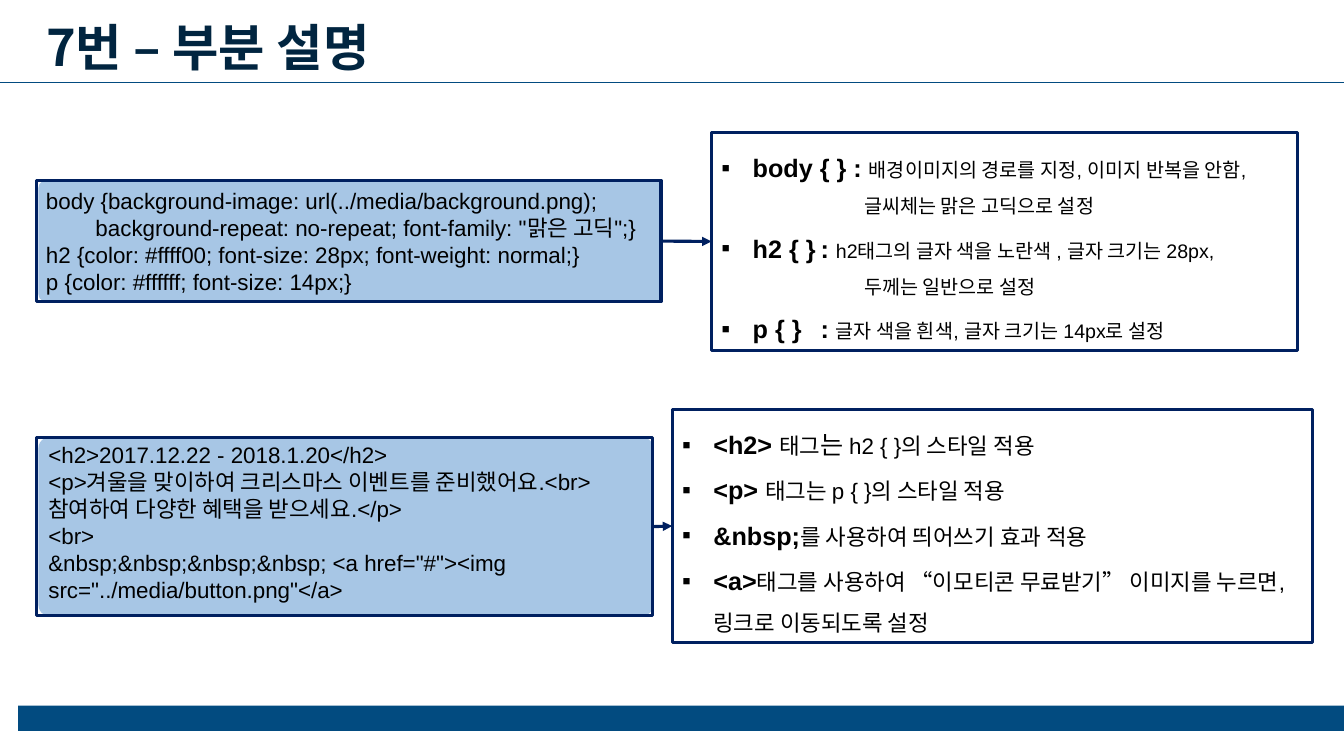
from dataclasses import dataclass

import lxml.etree
import pptx
import pptx.dml.color
import pptx.enum.shapes
import pptx.enum.text
import pptx.oxml.ns
import pptx.util
from pptx.util import Cm, Pt

COLORS = {
    "bar": "024B80",
    "title": "012540",
    "code": "A7C6E5",
    "border": "002060",
    "text": "000000",
}
LATIN = "Arial"
KOREAN = "Noto Sans CJK KR"
BULLET_INDENT = 0.79
COLON_TAB = 2.5
CONTINUATION_INDENT = 3.6
SHAPES = pptx.enum.shapes.MSO_SHAPE


@dataclass(frozen=True)
class Box:
    left: float
    top: float
    width: float
    height: float

    def lengths(self) -> list[int]:
        return [Cm(v) for v in (self.left, self.top, self.width, self.height)]


@dataclass(frozen=True)
class Piece:
    text: str
    size: int
    bold: bool = False


@dataclass(frozen=True)
class Remark:
    pieces: tuple[Piece, ...]
    bulleted: bool = True


@dataclass(frozen=True)
class Section:
    panel: Box
    code_area: Box
    border: Box
    code: tuple[str, ...]
    remark_area: Box
    remarks: tuple[Remark, ...]


def remark(term: str, meaning: str, size: int) -> Remark:
    return Remark((Piece(term, 18, True), Piece(meaning, size)))


def continuation(text: str) -> Remark:
    return Remark((Piece(text, 14),), bulleted=False)


SECTIONS = (
    Section(
        panel=Box(0.97, 4.55, 15.72, 3.05),
        code_area=Box(0.91, 4.6, 15.75, 3),
        border=Box(0.91, 4.55, 15.75, 3.05),
        code=(
            "body {background-image: url(../media/background.png);",
            '        background-repeat: no-repeat; font-family: "맑은 고딕";}',
            "h2 {color: #ffff00; font-size: 28px; font-weight: normal;}",
            "p {color: #ffffff; font-size: 14px;}",
        ),
        remark_area=Box(17.93, 3.33, 14.78, 5.51),
        remarks=(
            remark("body { } : ", "배경이미지의 경로를 지정, 이미지 반복을 안함,", 14),
            continuation("글씨체는 맑은 고딕으로 설정"),
            remark("h2 { }\t: ", "h2태그의 글자 색을 노란색 , 글자 크기는 28px,", 14),
            continuation("두께는 일반으로 설정"),
            remark("p { }\t: ", "글자 색을 흰색, 글자 크기는 14px로 설정", 14),
        ),
    ),
    Section(
        panel=Box(0.97, 11.02, 15.49, 4.5),
        code_area=Box(0.97, 11, 15.49, 4.37),
        border=Box(0.91, 11.02, 15.54, 4.5),
        code=(
            "<h2>2017.12.22 - 2018.1.20</h2>",
            "<p>겨울을 맞이하여 크리스마스 이벤트를 준비했어요.<br>",
            "참여하여 다양한 혜택을 받으세요.</p>",
            "<br>",
            '&nbsp;&nbsp;&nbsp;&nbsp; <a href="#"><img src="../media/button.png"</a>',
        ),
        remark_area=Box(16.94, 10.31, 16.13, 5.89),
        remarks=(
            Remark((Piece("<h2> ", 18, True), Piece("태그", 16),
                    Piece("는 ", 18), Piece("h2 { }의 스타일 적용", 16))),
            remark("<p> ", "태그는 p { }의 스타일 적용", 16),
            remark("&nbsp;", "를 사용하여 띄어쓰기 효과 적용", 16),
            remark("<a>", "태그를 사용하여 “이모티콘 무료받기” 이미지를 누르면, 링크로 이동되도록 설정", 16),
        ),
    ),
)


def rgb(name: str) -> pptx.dml.color.RGBColor:
    return pptx.dml.color.RGBColor.from_string(COLORS[name])


def add_element(parent, tag: str, **attributes: str):
    element = lxml.etree.SubElement(parent, pptx.oxml.ns.qn(tag))
    for key, value in attributes.items():
        element.set(key, value)
    return element


def set_font(paragraph, latin: str, color: str) -> None:
    """Give a paragraph its colour and its Latin and Korean typefaces."""
    paragraph.font.name = latin
    paragraph.font.color.rgb = rgb(color)
    defaults = paragraph._p.pPr.find(pptx.oxml.ns.qn("a:defRPr"))
    add_element(defaults, "a:ea", typeface=KOREAN)


def prepare_frame(shape):
    frame = shape.text_frame
    frame.word_wrap = True
    frame.auto_size = pptx.enum.text.MSO_AUTO_SIZE.NONE
    frame.vertical_anchor = pptx.enum.text.MSO_ANCHOR.TOP
    return frame


def add_block(slide, kind, box: Box, fill: str = "", border: str = ""):
    block = slide.shapes.add_shape(kind, *box.lengths())
    block.shadow.inherit = False
    if fill:
        block.fill.solid()
        block.fill.fore_color.rgb = rgb(fill)
    else:
        block.fill.background()
    if border:
        block.line.color.rgb = rgb(border)
        block.line.width = Pt(2.25)
    else:
        block.line.fill.background()
    return block


def add_line(slide, start: tuple[float, float], end: tuple[float, float],
             color: str, width: float):
    line = slide.shapes.add_connector(
        pptx.enum.shapes.MSO_CONNECTOR.STRAIGHT, *(Cm(v) for v in start + end))
    line.line.color.rgb = rgb(color)
    line.line.width = Pt(width)
    add_element(line._element.spPr, "a:effectLst")
    return line


def add_code(slide, box: Box, lines: tuple[str, ...]) -> None:
    frame = prepare_frame(slide.shapes.add_textbox(*box.lengths()))
    for index, text in enumerate(lines):
        paragraph = frame.paragraphs[0] if index == 0 else frame.add_paragraph()
        paragraph.text = text
        paragraph.font.size = Pt(16)
        set_font(paragraph, LATIN, "text")


def add_remarks(shape, remarks: tuple[Remark, ...]) -> None:
    frame = prepare_frame(shape)
    for index, entry in enumerate(remarks):
        paragraph = frame.paragraphs[0] if index == 0 else frame.add_paragraph()
        paragraph.alignment = pptx.enum.text.PP_ALIGN.LEFT
        paragraph.line_spacing = 1.5
        properties = paragraph._p.get_or_add_pPr()
        if entry.bulleted:
            properties.set("marL", str(Cm(BULLET_INDENT)))
            properties.set("indent", str(-Cm(BULLET_INDENT)))
            add_element(properties, "a:buFont", typeface=LATIN)
            add_element(properties, "a:buChar", char="▪")
            tabs = add_element(properties, "a:tabLst")
            add_element(tabs, "a:tab", pos=str(Cm(COLON_TAB)), algn="l")
        else:
            properties.set("marL", str(Cm(CONTINUATION_INDENT)))
            properties.set("indent", "0")
        set_font(paragraph, LATIN, "text")
        for piece in entry.pieces:
            run = paragraph.add_run()
            run.text = piece.text
            run.font.size = Pt(piece.size)
            run.font.bold = piece.bold


def add_section(slide, section: Section) -> None:
    panel = add_block(slide, SHAPES.ROUNDED_RECTANGLE, section.panel, fill="code")
    panel.adjustments[0] = 0.06
    add_code(slide, section.code_area, section.code)
    code_border = add_block(slide, SHAPES.RECTANGLE, section.border, border="border")
    explanation = add_block(slide, SHAPES.RECTANGLE, section.remark_area, border="border")
    add_remarks(explanation, section.remarks)
    arrow = add_line(slide, (0, 0), (1, 1), "border", 2.25)
    arrow.begin_connect(code_border, 3)
    arrow.end_connect(explanation, 1)
    outline = arrow._element.spPr.find(pptx.oxml.ns.qn("a:ln"))
    add_element(outline, "a:tailEnd", type="triangle")


def add_title(slide, text: str) -> None:
    title = slide.shapes.title
    title.left, title.top, title.width, title.height = Box(0.91, 0.28, 27.64, 1.8).lengths()
    frame = prepare_frame(title)
    frame.vertical_anchor = pptx.enum.text.MSO_ANCHOR.MIDDLE
    heading = frame.paragraphs[0]
    heading.text = text
    heading.alignment = pptx.enum.text.PP_ALIGN.LEFT
    heading.font.size = Pt(36)
    heading.font.bold = True
    set_font(heading, KOREAN, "title")


def main() -> None:
    deck = pptx.Presentation()
    deck.slide_width, deck.slide_height = Cm(33.87), Cm(19.05)
    slide = deck.slides.add_slide(deck.slide_layouts[5])
    add_title(slide, "7번 – 부분 설명")
    add_block(slide, SHAPES.RECTANGLE, Box(0.46, 17.78, 33.41, 0.64), fill="bar")
    add_line(slide, (0, 2.08), (33.87, 2.08), "bar", 0.5)
    for section in SECTIONS:
        add_section(slide, section)
    deck.save("out.pptx")


if __name__ == "__main__":
    main()
